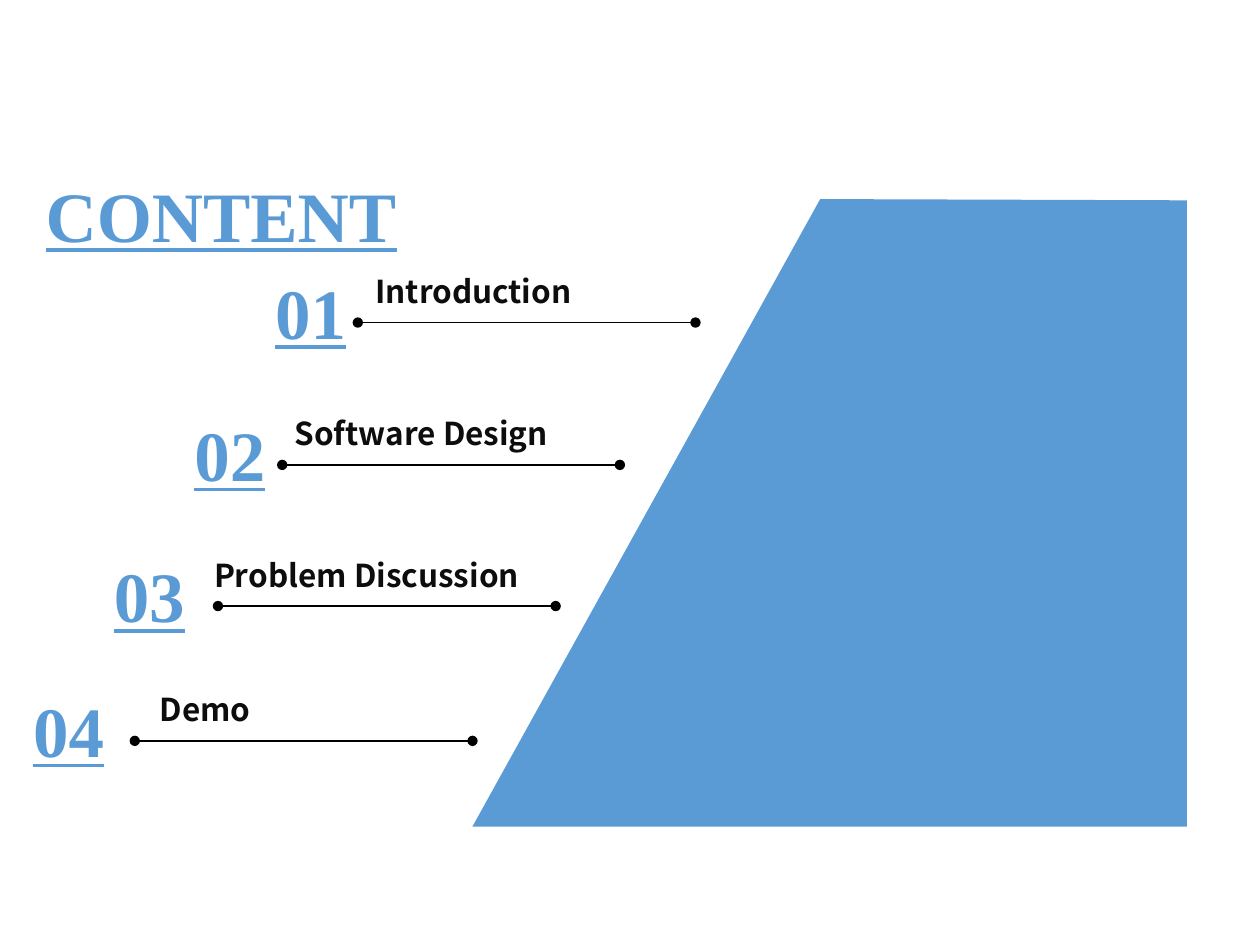
from dataclasses import dataclass

from lxml.etree import SubElement
from pptx import Presentation
from pptx.dml.color import RGBColor
from pptx.enum.shapes import MSO_CONNECTOR as Connector
from pptx.enum.text import MSO_AUTO_SIZE as AutoSize, PP_ALIGN as Align
from pptx.oxml.ns import qn
from pptx.util import Inches, Pt


@dataclass(frozen=True)
class TextStyle:
    font: str
    size: float
    color: RGBColor
    underline: bool
    align: Align
    top_inset: float


class Theme:
    blue = RGBColor(0x5B, 0x9B, 0xD5)
    black = RGBColor(0, 0, 0)
    heading = TextStyle("Times New Roman", 40.5, blue, True, Align.CENTER, 0.11)
    label = TextStyle("Noto Sans CJK SC", 18, RGBColor(0x0D, 0x0D, 0x0D),
                      False, Align.LEFT, 0.01)
    rule_width = 1


WIDTH, HEIGHT = 10, 7.5
MARGIN = 0.13
NUMBER_WIDTH, HEADING_HEIGHT = 0.83, 0.78
LABEL_WIDTH, LABEL_HEIGHT, LABEL_DROP = 3.01, 0.40, 0.13
RULE_LENGTH, RULE_DROP = 2.68, 0.54
ROW_STEP = 0.64  # each row starts this much further left

# Label, row top, label left, rule left
ROWS = [
    ("Introduction", 2.02, 2.88, 2.84),
    ("Software Design", 3.15, 2.24, 2.24),
    ("Problem Discussion", 4.27, 1.60, 1.73),
    ("Demo", 5.34, 1.17, 1.07),
]


def add_text(slide, text, left, top, width, height, style):
    box = slide.shapes.add_textbox(*map(Inches, (left, top, width, height)))
    frame = box.text_frame
    frame.word_wrap = True
    frame.auto_size = AutoSize.SHAPE_TO_FIT_TEXT
    frame.margin_top, frame.margin_bottom = Inches(style.top_inset), Inches(0.03)
    paragraph = frame.paragraphs[0]
    paragraph.alignment = style.align
    run = paragraph.add_run()
    run.text = text
    font = run.font
    font.name, font.size = style.font, Pt(style.size)
    font.bold, font.underline = True, style.underline
    font.color.rgb = style.color
    # The same face for East Asian text
    SubElement(font._element, qn("a:ea")).set("typeface", style.font)


def add_dotted_rule(slide, left, top):
    rule = slide.shapes.add_connector(
        Connector.STRAIGHT, Inches(left), Inches(top),
        Inches(left + RULE_LENGTH), Inches(top))
    rule.line.color.rgb = Theme.black
    rule.line.width = Pt(Theme.rule_width)
    line = rule.line._get_or_add_ln()
    for end in ("a:headEnd", "a:tailEnd"):
        SubElement(line, qn(end)).set("type", "oval")
    SubElement(rule._element.spPr, qn("a:effectLst"))


def add_panel(slide, points):
    start, *rest = [(Inches(x), Inches(y)) for x, y in points]
    builder = slide.shapes.build_freeform(*start)
    builder.add_line_segments(rest, close=True)
    panel = builder.convert_to_shape()
    panel.shadow.inherit = False
    panel.fill.solid()
    panel.fill.fore_color.rgb = Theme.blue
    panel.line.fill.background()


def add_row(slide, index, label, top, label_left, rule_left):
    number_left = MARGIN + (len(ROWS) - 1 - index) * ROW_STEP
    add_text(slide, label, label_left, top + LABEL_DROP,
             LABEL_WIDTH, LABEL_HEIGHT, Theme.label)
    add_text(slide, f"{index + 1:02}", number_left, top,
             NUMBER_WIDTH, HEADING_HEIGHT, Theme.heading)
    add_dotted_rule(slide, rule_left, top + RULE_DROP)


def main():
    presentation = Presentation()
    presentation.slide_width = Inches(WIDTH)
    presentation.slide_height = Inches(HEIGHT)
    slide = presentation.slides.add_slide(presentation.slide_layouts[6])

    # Slanted panel on the right
    add_panel(slide, [(6.51, 1.58), (9.42, 1.59), (9.42, 6.56), (3.75, 6.56)])

    # Title and agenda rows
    add_text(slide, "CONTENT", MARGIN, 1.25, 3.25, HEADING_HEIGHT, Theme.heading)
    for index, row in enumerate(ROWS):
        add_row(slide, index, *row)

    presentation.save("out.pptx")


if __name__ == "__main__":
    main()
